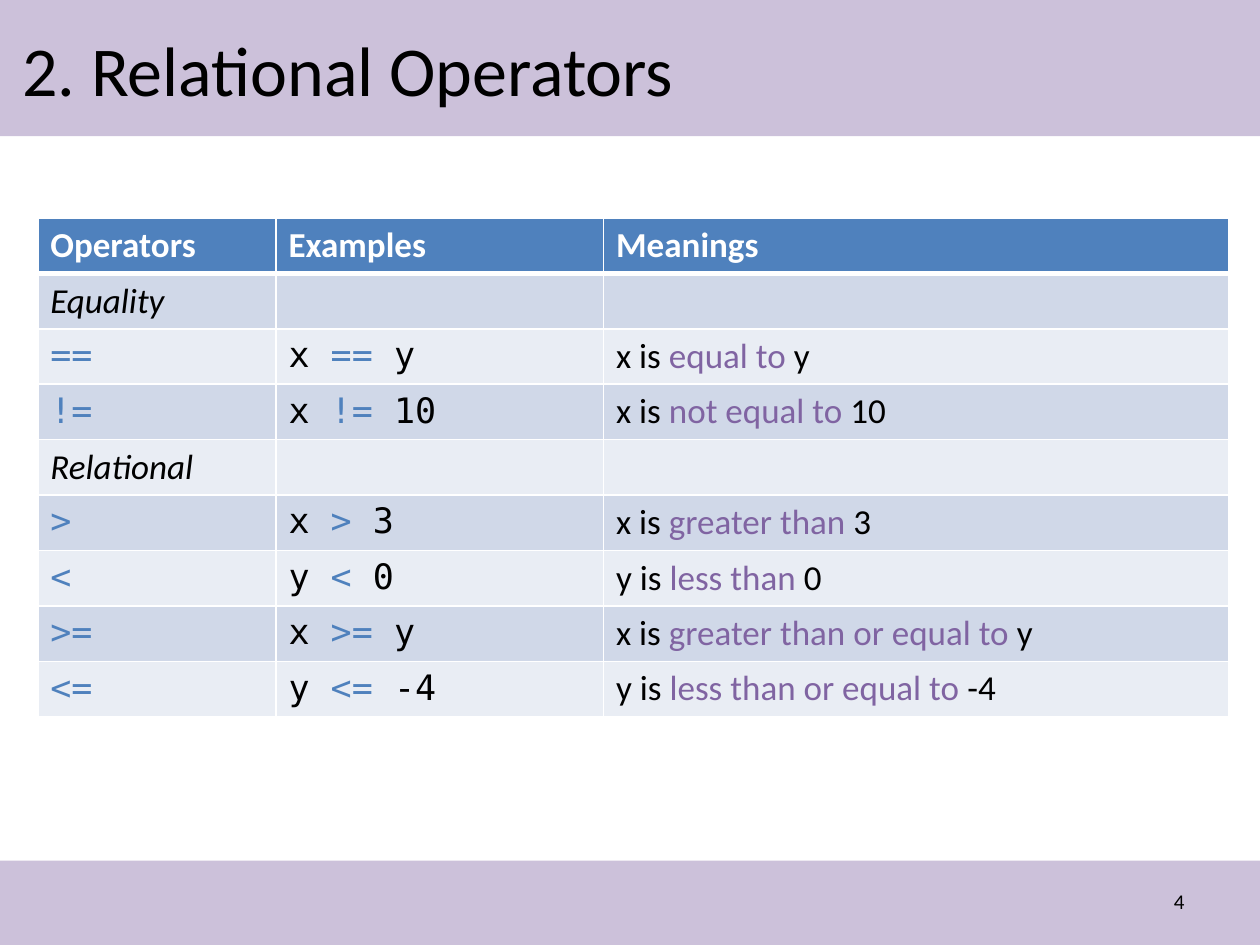
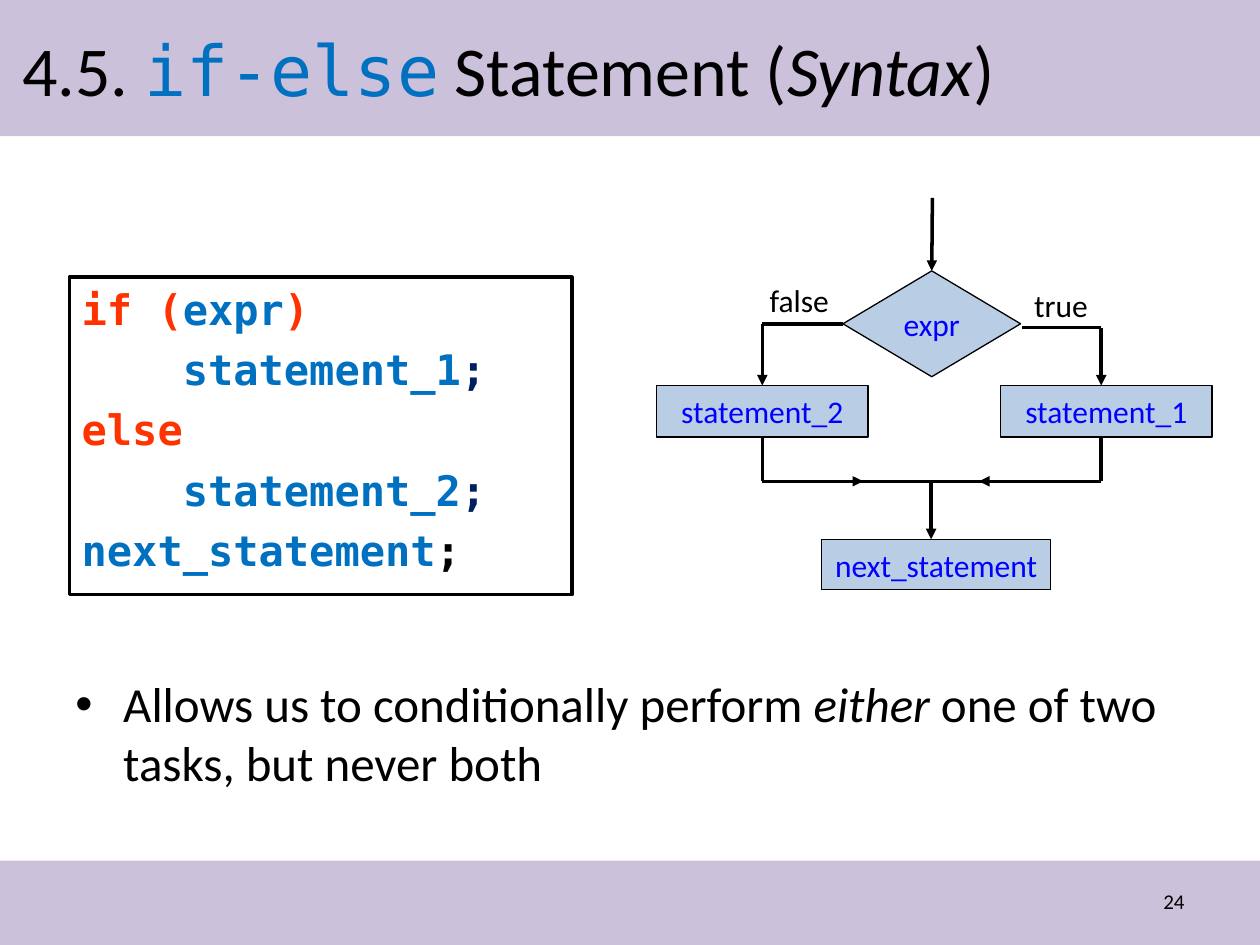
from lxml import etree
from pptx import Presentation
from pptx.dml.color import RGBColor
from pptx.enum.shapes import MSO_CONNECTOR, MSO_SHAPE
from pptx.enum.text import MSO_ANCHOR, PP_ALIGN
from pptx.oxml.ns import qn
from pptx.util import Inches, Pt

BLACK = RGBColor(0x00, 0x00, 0x00)
WHITE = RGBColor(0xFF, 0xFF, 0xFF)
LILAC = RGBColor(0xCC, 0xC1, 0xDA)
PURPLE = RGBColor(0x80, 0x64, 0xA2)
HEADER_BLUE = RGBColor(0x4F, 0x81, 0xBD)
ROW_DARK = RGBColor(0xD0, 0xD8, 0xE8)
ROW_LIGHT = RGBColor(0xE9, 0xED, 0xF4)
BOX_BLUE = RGBColor(0xB9, 0xCD, 0xE5)
TEXT_BLUE = RGBColor(0x00, 0x00, 0xFF)
CODE_BLUE = RGBColor(0x00, 0x70, 0xC0)
NAVY = RGBColor(0x00, 0x20, 0x60)
RED = RGBColor(0xFF, 0x33, 0x00)

SANS = "Calibri"
MONO = "DejaVu Sans Mono"
TOP, LEFT, BOTTOM = 0, 1, 2


def add_run(p, text, size=18, font=SANS, color=BLACK, bold=False, italic=False):
    r = p.add_run()
    r.text = text
    r.font.size = Pt(size)
    r.font.name = font
    r.font.color.rgb = color
    r.font.bold = bold
    r.font.italic = italic


def write(tf, paragraphs, align=PP_ALIGN.LEFT, anchor=MSO_ANCHOR.TOP,
          wrap=True, before=0, **fmt):
    """Fill a frame; a paragraph is a list of (text, own format) pieces."""
    tf.word_wrap = wrap
    tf.vertical_anchor = anchor
    for i, pieces in enumerate(paragraphs):
        p = tf.add_paragraph() if i else tf.paragraphs[0]
        p.alignment = align
        if i and before:
            p.space_before = Pt(before)
        for text, own in pieces:
            add_run(p, text, **{**fmt, **own})


def set_borders(cell, **widths):
    """Give a cell white borders; keys are L, R, T, B and values points."""
    tc_pr = cell._tc.get_or_add_tcPr()
    for i, (side, width) in enumerate(widths.items()):
        ln = etree.Element(qn(f"a:ln{side}"), w=str(Pt(width)))
        fill = etree.SubElement(ln, qn("a:solidFill"))
        etree.SubElement(fill, qn("a:srgbClr"), val=str(WHITE))
        tc_pr.insert(i, ln)


class Deck:
    """Holds the shared look and the slide being drawn."""

    def __init__(self):
        self.prs = Presentation()
        self.prs.slide_width = Inches(10)
        self.prs.slide_height = Inches(7.5)
        self.shapes = None

    def new_slide(self, title, number):
        self.shapes = self.prs.slides.add_slide(self.prs.slide_layouts[6]).shapes
        self.box(0, 0, 10, 1.08, fill=LILAC)
        self.box(0, 6.83, 10, 0.67, fill=LILAC)
        self.text(7.17, 6.95, 2.33, 0.4, [[(str(number), {})]], size=12,
                  align=PP_ALIGN.RIGHT, anchor=MSO_ANCHOR.MIDDLE)
        self.text(0.08, 0.08, 9.76, 0.92, [title], size=40,
                  anchor=MSO_ANCHOR.MIDDLE)

    def text(self, x, y, w, h, paragraphs, **fmt):
        sp = self.shapes.add_textbox(Inches(x), Inches(y), Inches(w), Inches(h))
        write(sp.text_frame, paragraphs, **fmt)
        return sp

    def box(self, x, y, w, h, fill=None, line=None, kind=MSO_SHAPE.RECTANGLE):
        sp = self.shapes.add_shape(kind, Inches(x), Inches(y), Inches(w), Inches(h))
        sp.shadow.inherit = False
        if fill is None:
            sp.fill.background()
        else:
            sp.fill.solid()
            sp.fill.fore_color.rgb = fill
        if line is None:
            sp.line.fill.background()
        else:
            sp.line.color.rgb = BLACK
            sp.line.width = Pt(line)
        return sp

    def flow_box(self, x, y, w, h, label, kind=MSO_SHAPE.RECTANGLE, wrap=True):
        sp = self.box(x, y, w, h, BOX_BLUE, 0.75, kind)
        write(sp.text_frame, [[(label, {})]], align=PP_ALIGN.CENTER,
              anchor=MSO_ANCHOR.MIDDLE, wrap=wrap, color=TEXT_BLUE)
        return sp

    def bullet(self, x, y, w, h, pieces, size):
        sp = self.text(x, y, w, h, [pieces], size=size)
        p_pr = sp.text_frame.paragraphs[0]._p.get_or_add_pPr()
        indent = Inches(0.38)
        p_pr.set("marL", str(indent))
        p_pr.set("indent", str(-indent))
        etree.SubElement(p_pr, qn("a:buFont"), typeface="Arial")
        etree.SubElement(p_pr, qn("a:buChar"), char="•")

    def line(self, start, end, arrow=False, begin=None, finish=None):
        """Draw a line; begin and finish are (shape, side) to join to."""
        cx = self.shapes.add_connector(
            MSO_CONNECTOR.STRAIGHT, *(Inches(v) for v in (*start, *end)))
        if begin:
            cx.begin_connect(*begin)
        if finish:
            cx.end_connect(*finish)
        cx.line.color.rgb = BLACK
        cx.line.width = Pt(2)
        etree.SubElement(cx._element.spPr, qn("a:effectLst"))
        if arrow:
            etree.SubElement(cx.line._get_or_add_ln(), qn("a:tailEnd"),
                             type="triangle")

    def table(self, x, y, col_widths, row_height, rows, size):
        """Draw a table with a header row and banded body rows."""
        table = self.shapes.add_table(
            len(rows), len(col_widths), Inches(x), Inches(y),
            Inches(sum(col_widths)), Inches(row_height * len(rows))).table
        for col, width in zip(table.columns, col_widths):
            col.width = Inches(width)
        for i, row in enumerate(rows):
            table.rows[i].height = Inches(row_height)
            fill = HEADER_BLUE if i == 0 else (ROW_LIGHT, ROW_DARK)[i % 2]
            for j in range(len(col_widths)):
                cell = table.cell(i, j)
                cell.fill.solid()
                cell.fill.fore_color.rgb = fill
                set_borders(cell, L=1, R=1, T=3 if i == 1 else 1,
                            B=3 if i == 0 else 1)
                if j < len(row):
                    write(cell.text_frame, [row[j]], size=size)


def operator_row(left, operator, right, meaning):
    mono, sign = dict(font=MONO), dict(font=MONO, color=HEADER_BLUE)
    return [
        [(operator, sign)],
        [(f"{left} ", mono), (operator, sign), (f" {right}", mono)],
        [(f"{left} is ", {}), (f"{meaning} ", dict(color=PURPLE)), (right, {})],
    ]


def relational_operators(deck):
    deck.new_slide([("2. Relational Operators", {})], 4)
    header = dict(color=WHITE, bold=True)
    italic = dict(italic=True)
    rows = [
        [[(name, header)] for name in ("Operators", "Examples", "Meanings")],
        [[("Equality", italic)]],
        operator_row("x", "==", "y", "equal to"),
        operator_row("x", "!=", "10", "not equal to"),
        [[("Relational", italic)]],
        operator_row("x", ">", "3", "greater than"),
        operator_row("y", "<", "0", "less than"),
        operator_row("x", ">=", "y", "greater than or equal to"),
        operator_row("y", "<=", "-4", "less than or equal to"),
    ]
    deck.table(0.3, 1.73, (1.89, 2.6, 4.96), 0.44, rows, size=20)


def if_else_flowchart(deck):
    mid, false_x, true_x = 7.39, 6.05, 8.74
    true_y, box_y, box_h, merge_y, next_y = 2.6, 3.06, 0.41, 3.82, 4.28

    test = deck.flow_box(6.69, 2.15, 1.41, 0.84, "expr", MSO_SHAPE.DIAMOND)
    deck.flow_box(7.94, box_y, 1.68, box_h, "statement_1")
    otherwise = deck.flow_box(5.21, box_y, 1.68, box_h, "statement_2")
    deck.flow_box(6.52, next_y, 1.82, 0.4, "next_statement", wrap=False)
    deck.text(8.11, 2.22, 0.63, 0.4, [[("true", {})]], wrap=False)
    deck.text(6.01, 2.18, 0.68, 0.4, [[("false", {})]], wrap=False)

    deck.line((7.4, 1.57), (7.4, 2.15), arrow=True, finish=(test, TOP))
    deck.line((8.11, true_y), (true_x, true_y))
    deck.line((true_x, true_y), (true_x, box_y), arrow=True)
    deck.line((false_x, 2.57), (6.69, 2.57), finish=(test, LEFT))
    deck.line((false_x, 2.57), (false_x, box_y), arrow=True,
              finish=(otherwise, TOP))
    deck.line((false_x, box_y + box_h), (false_x, merge_y),
              begin=(otherwise, BOTTOM))
    deck.line((true_x, box_y + box_h), (true_x, merge_y))
    for x, arrow_x in ((false_x, 6.85), (true_x, 7.77)):
        deck.line((x, merge_y), (mid, merge_y))
        deck.line((x, merge_y), (arrow_x, merge_y), arrow=True)
    deck.line((mid, merge_y), (mid, next_y), arrow=True)


def if_else_statement(deck):
    deck.new_slide([("4.5. ", {}), ("if-else", dict(font=MONO, color=CODE_BLUE)),
                    (" Statement (", {}), ("Syntax", dict(italic=True)),
                    (")", {})], 24)
    keyword, name, end = (dict(color=c) for c in (RED, CODE_BLUE, NAVY))
    code = [
        [("if (", keyword), ("expr", name), (")", keyword)],
        [("    statement_1", name), (";", end)],
        [("else", keyword)],
        [("    statement_2", name), (";", end)],
        [("next_statement", name), (";", {})],
    ]
    frame = deck.box(0.55, 2.2, 3.99, 2.52, line=2)
    write(frame.text_frame, code, before=5.6, size=24, font=MONO, bold=True)
    if_else_flowchart(deck)
    deck.bullet(0.5, 5.3, 9, 1.6, [
        ("Allows us to conditionally perform ", {}),
        ("either", dict(italic=True)),
        (" one of two tasks, but never both", {})], size=28)


def main():
    deck = Deck()
    relational_operators(deck)
    if_else_statement(deck)
    deck.prs.save("out.pptx")


if __name__ == "__main__":
    main()
